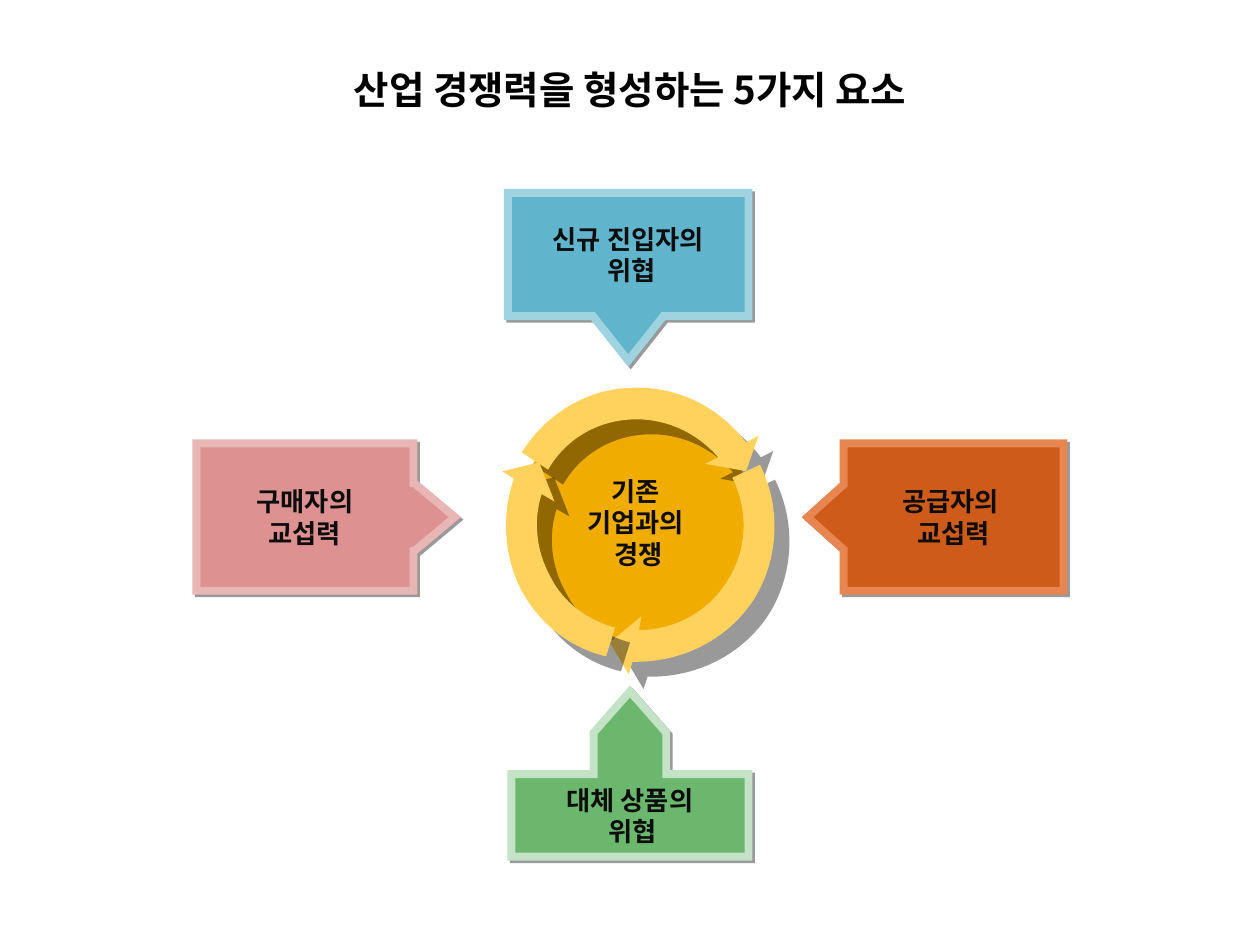
from math import cos, radians, sin

from lxml.etree import SubElement
from pptx import Presentation
from pptx.dml.color import RGBColor
from pptx.enum.shapes import MSO_SHAPE
from pptx.enum.text import MSO_ANCHOR, MSO_AUTO_SIZE, PP_ALIGN
from pptx.oxml.ns import qn
from pptx.util import Cm, Pt

FONT = "Noto Sans CJK KR"
BLACK = RGBColor(0x00, 0x00, 0x00)
INK = RGBColor(0x0D, 0x0D, 0x0D)
AMBER = RGBColor(0xF0, 0xAD, 0x00)
YELLOW = RGBColor(0xFF, 0xD2, 0x5D)
PINK, PALE_PINK = RGBColor(0xDD, 0x91, 0x91), RGBColor(0xE8, 0xB6, 0xB5)
BLUE, PALE_BLUE = RGBColor(0x60, 0xB5, 0xCC), RGBColor(0xA0, 0xD3, 0xE0)
ORANGE, PALE_ORANGE = RGBColor(0xCF, 0x5B, 0x1B), RGBColor(0xE8, 0x86, 0x51)
GREEN, PALE_GREEN = RGBColor(0x6B, 0xB7, 0x6D), RGBColor(0xC4, 0xE2, 0xC5)

TITLE = "산업 경쟁력을 형성하는 5가지 요소 "
TITLE_BOX = (6.15, 1.19, 13.28, 1.19)
RIVALRY = "기존\n기업과의\v 경쟁"
RIVALRY_BOX = (10.44, 8.15, 4.75, 4.75)

# text, preset, box in cm, adjustments, fill, border
FORCES = [
    ("구매자의\v교섭력", MSO_SHAPE.RIGHT_ARROW_CALLOUT, (3.96, 8.94, 5.21, 2.97),
     (0.46, 0.23, 0.275, 0.84), PINK, PALE_PINK),
    ("신규 진입자의\v 위협", MSO_SHAPE.DOWN_ARROW_CALLOUT, (10.24, 3.89, 4.85, 3.38),
     (0.42, 0.21, 0.265, 0.735), BLUE, PALE_BLUE),
    ("공급자의 \v교섭력", MSO_SHAPE.LEFT_ARROW_CALLOUT, (16.28, 8.94, 5.16, 2.97),
     (0.44, 0.22, 0.245, 0.86), ORANGE, PALE_ORANGE),
    ("대체 상품의\v 위협", MSO_SHAPE.UP_ARROW_CALLOUT, (10.31, 13.94, 4.78, 3.33),
     (0.5, 0.22, 0.25, 0.5), GREEN, PALE_GREEN),
]

# Each cycle arrow in cm: frame corner, rotation, then its outline on the
# slide as outer curve, arrowhead corners, inner curve
CYCLE_FRAME = (6.07, 6.22)
CYCLE_ARROWS = [
    ((9.83, 7.52), 345,
     [(10.52, 9.12), (11, 8.36), (11.81, 7.85), (12.7, 7.82),
      (13.61, 7.77), (14.48, 8.18), (15.04, 8.92)],
     [(15.29, 8.79), (15.04, 9.5), (14.22, 9.35)],
     [(14.48, 9.22), (14.02, 8.69), (13.36, 8.41), (12.67, 8.46),
      (12.01, 8.51), (11.4, 8.86), (11.05, 9.47)]),
    ((9.75, 7.44), 114.5,
     [(15.32, 9.37), (15.75, 10.24), (15.7, 11.28), (15.19, 12.09),
      (14.66, 12.9), (13.74, 13.36), (12.75, 13.34)],
     [(12.67, 13.59), (12.29, 12.95), (12.93, 12.42)],
     [(12.88, 12.7), (13.61, 12.7), (14.3, 12.32), (14.68, 11.68),
      (15.06, 11.07), (15.09, 10.29), (14.76, 9.63)]),
    ((9.96, 7.42), 222,
     [(12.22, 13.23), (11.48, 13.06), (10.85, 12.55), (10.49, 11.86),
      (10.16, 11.18), (10.11, 10.39), (10.36, 9.65)],
     [(10.13, 9.5), (10.87, 9.32), (11.18, 10.11)],
     [(10.92, 9.96), (10.74, 10.52), (10.82, 11.13), (11.1, 11.63),
      (11.35, 12.14), (11.84, 12.5), (12.4, 12.65)]),
]


def write(shape, text, size, spacing, color, anchor):
    frame = shape.text_frame
    frame.text = text
    frame.word_wrap = True
    frame.auto_size = MSO_AUTO_SIZE.NONE
    frame.vertical_anchor = anchor
    for paragraph in frame.paragraphs:
        paragraph.alignment = PP_ALIGN.CENTER
        paragraph.line_spacing = Pt(spacing)
        for run in paragraph.runs:
            run.font.name = FONT
            run.font.size = Pt(size)
            run.font.bold = True
            run.font.color.rgb = color
            SubElement(run.font._element, qn("a:ea"), typeface=FONT)


def paint(shape, fill, border=None):
    shape.fill.solid()
    shape.fill.fore_color.rgb = fill
    if border is None:
        shape.line.fill.background()
    else:
        shape.line.color.rgb = border
        shape.line.width = Pt(4.5)
        SubElement(shape._element.spPr.find(qn("a:ln")), qn("a:miter"), lim="800000")


def cast_shadow(shape, distance, degrees=45, opacity=40):
    """Give the shape a sharp black shadow at a distance in points."""
    shape.shadow.inherit = False
    effects = shape._element.spPr.find(qn("a:effectLst"))
    shadow = SubElement(effects, qn("a:outerShdw"), blurRad="0", dist=str(Pt(distance)),
                        dir=str(degrees * 60000), algn="tl", rotWithShape="0")
    black = SubElement(shadow, qn("a:srgbClr"), val="000000")
    SubElement(black, qn("a:alpha"), val=str(opacity * 1000))


def add_cycle_arrow(slide, corner, rotation, outer, head, inner):
    """Add a curved arrow whose outline is stored relative to its rotated frame."""
    (left, top), (width, height) = corner, CYCLE_FRAME
    angle = radians(-rotation)

    def to_frame(point):
        dx = point[0] - left - width / 2
        dy = point[1] - top - height / 2
        return (Cm(width / 2 + dx * cos(angle) - dy * sin(angle)),
                Cm(height / 2 + dx * sin(angle) + dy * cos(angle)))

    builder = slide.shapes.build_freeform(0, 0)
    builder.add_line_segments([(Cm(width), Cm(height))])
    arrow = builder.convert_to_shape()
    arrow.left, arrow.top = Cm(left), Cm(top)
    arrow.width, arrow.height = Cm(width), Cm(height)
    arrow.rotation = rotation

    outline = next(arrow._element.iter(qn("a:path")))
    for command in list(outline):
        outline.remove(command)

    def draw(command, points=()):
        step = SubElement(outline, qn(command))
        for x, y in map(to_frame, points):
            SubElement(step, qn("a:pt"), x=str(x), y=str(y))

    def draw_curve(points):
        for first in range(1, len(points), 3):
            draw("a:cubicBezTo", points[first:first + 3])

    draw("a:moveTo", outer[:1])
    draw_curve(outer)
    for corner_point in head + inner[:1]:
        draw("a:lnTo", [corner_point])
    draw_curve(inner)
    draw("a:close")
    return arrow


def main():
    deck = Presentation()
    deck.slide_width, deck.slide_height = Cm(25.4), Cm(19.05)
    slide = deck.slides.add_slide(deck.slide_layouts[5])

    title = slide.shapes.title
    title.left, title.top, title.width, title.height = map(Cm, TITLE_BOX)
    write(title, TITLE, 22, 26.5, BLACK, MSO_ANCHOR.TOP)

    rivalry = slide.shapes.add_shape(MSO_SHAPE.OVAL, *map(Cm, RIVALRY_BOX))
    paint(rivalry, AMBER)
    cast_shadow(rivalry, 1.6, 90, 38)
    write(rivalry, RIVALRY, 15, 18, INK, MSO_ANCHOR.MIDDLE)

    for text, preset, box, adjustments, fill, border in FORCES:
        force = slide.shapes.add_shape(preset, *map(Cm, box))
        for index, value in enumerate(adjustments):
            force.adjustments[index] = value
        paint(force, fill, border)
        cast_shadow(force, 2)
        write(force, text, 15, 18, INK, MSO_ANCHOR.MIDDLE)

    for cycle_arrow in CYCLE_ARROWS:
        arrow = add_cycle_arrow(slide, *cycle_arrow)
        paint(arrow, YELLOW)
        cast_shadow(arrow, 12.1)

    deck.save("out.pptx")


if __name__ == "__main__":
    main()
